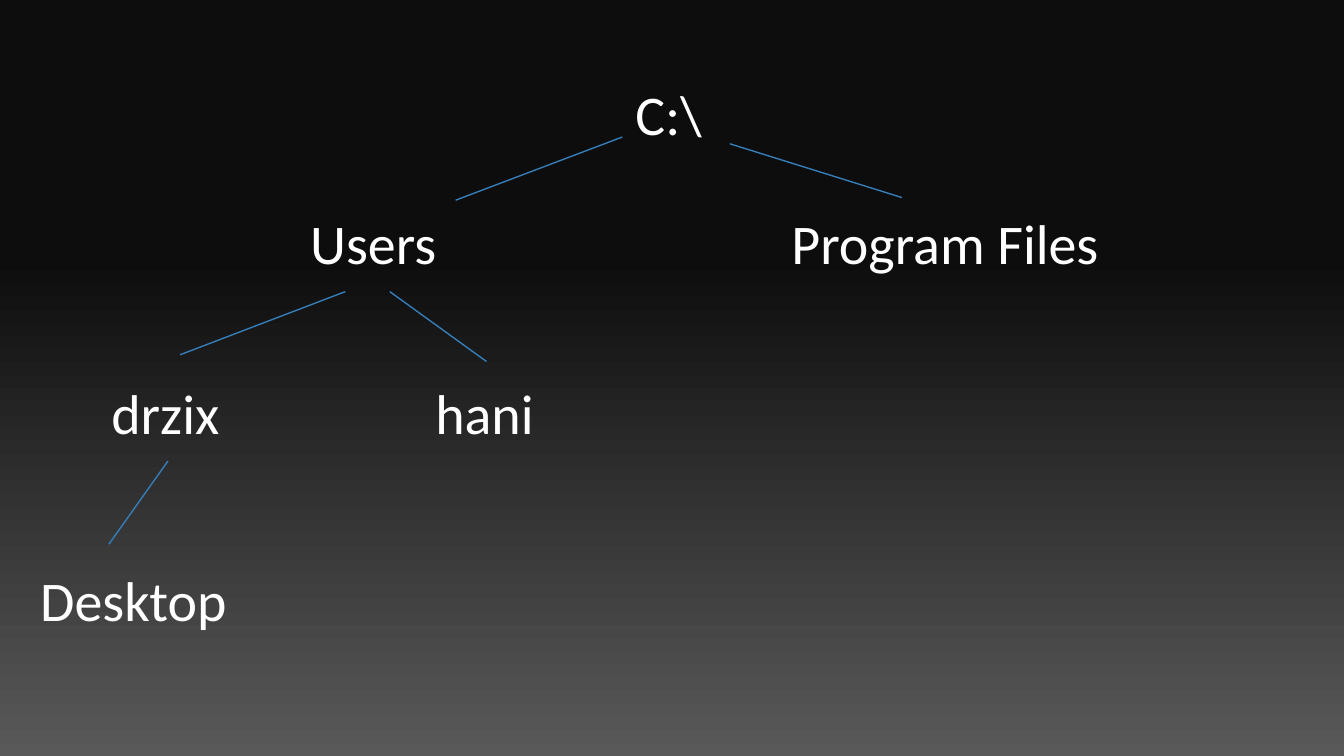
import pptx
import pptx.util
import pptx.dml.color
import pptx.enum.shapes
import pptx.enum.text
import pptx.oxml.ns
import lxml.etree

THEME = {
    "font": "Calibri", "size": 30, "text": "FFFFFF",
    "line": "367EB9", "weight": 0.75, "spacing": 1.15, "inset": 0.1,
    "stops": [(0.34, "0D0D0D"), (1, "595959")], "angle": 270,
}
WIDTH = pptx.util.Inches(10)
HEIGHT = WIDTH * 9 // 16
LABEL = (2.65, 0.94)
ROWS = (0.42, 1.38, 2.64, 4.03)
FOLDERS = [
    ("C:\\", 4.63, 0), ("Users", 2.21, 1), ("Program Files", 5.79, 1),
    ("drzix", 0.73, 2), ("hani", 3.14, 2), ("Desktop", 0.2, 3),
]
BRANCHES = [
    (4.63, 1.02, 3.39, 1.49), (5.43, 1.07, 6.71, 1.47),
    (2.57, 2.17, 1.34, 2.64), (2.9, 2.17, 3.62, 2.69),
    (1.25, 3.43, 0.81, 4.05),
]


def rgb(value):
    """Turn a hex string into a colour."""
    return pptx.dml.color.RGBColor.from_string(value)


def assign(obj, values):
    """Set attributes from a dict of format values."""
    for name, value in values.items():
        setattr(obj, name, value)


def paint_background(s):
    """Fill the slide with the vertical gradient."""
    fill = s.background.fill
    fill.gradient()
    fill.gradient_angle = THEME["angle"]
    for stop, (position, colour) in zip(fill.gradient_stops, THEME["stops"]):
        stop.position = position
        stop.color.rgb = rgb(colour)


def add_folder(s, x, y, name):
    """Place one folder name with its top left corner at x, y."""
    sp = s.shapes.add_textbox(*map(pptx.util.Inches, (x, y, *LABEL)))
    tf = sp.text_frame
    inset = pptx.util.Inches(THEME["inset"])
    assign(tf, {
        "word_wrap": True, "vertical_anchor": pptx.enum.text.MSO_ANCHOR.TOP,
        "margin_left": inset, "margin_right": inset,
        "margin_top": inset, "margin_bottom": inset,
    })
    p = tf.paragraphs[0]
    p.line_spacing = THEME["spacing"]
    r = p.add_run()
    r.text = name
    assign(r.font, {"name": THEME["font"], "size": pptx.util.Pt(THEME["size"])})
    r.font.color.rgb = rgb(THEME["text"])


def add_branch(s, x1, y1, x2, y2):
    """Draw one line from a folder to its child."""
    kind = pptx.enum.shapes.MSO_CONNECTOR.STRAIGHT
    sp = s.shapes.add_connector(kind, *map(pptx.util.Inches, (x1, y1, x2, y2)))
    sp.line.width = pptx.util.Pt(THEME["weight"])
    sp.line.color.rgb = rgb(THEME["line"])
    lxml.etree.SubElement(sp._element.spPr, pptx.oxml.ns.qn("a:effectLst"))


def add_tree(s, left, top):
    """Place the folder tree in the box that starts at left, top."""
    for name, x, row in FOLDERS:
        add_folder(s, left + x, top + ROWS[row], name)
    for x1, y1, x2, y2 in BRANCHES:
        add_branch(s, left + x1, top + y1, left + x2, top + y2)


def main():
    """Build and save the slide."""
    prs = pptx.Presentation()
    assign(prs, {"slide_width": WIDTH, "slide_height": HEIGHT})
    s = prs.slides.add_slide(prs.slide_layouts[6])
    paint_background(s)
    add_tree(s, 0, 0)
    prs.save("out.pptx")


main()
